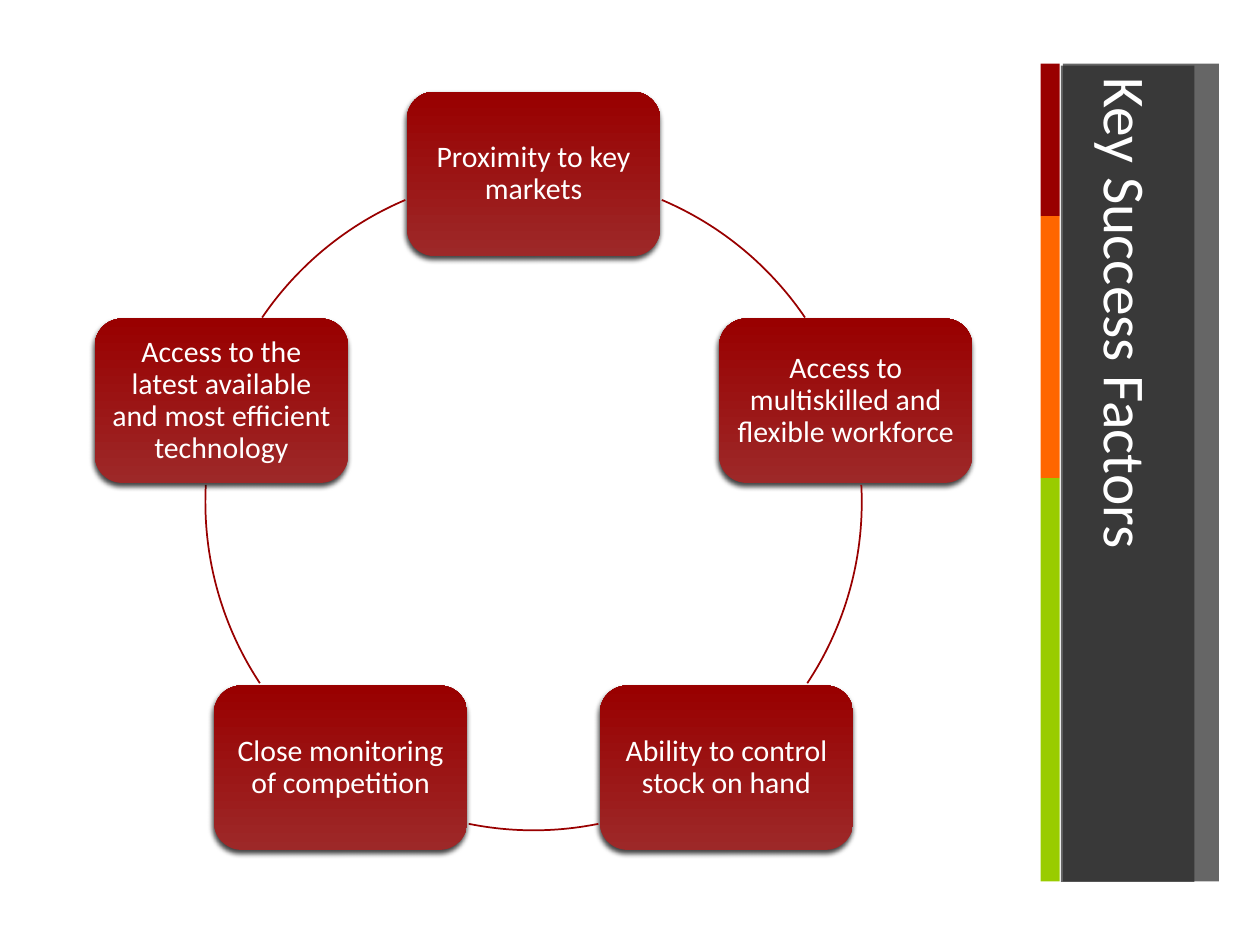
import math

from lxml import etree
from pptx import Presentation
from pptx.dml.color import RGBColor
from pptx.enum.shapes import MSO_SHAPE
from pptx.enum.text import MSO_ANCHOR, PP_ALIGN
from pptx.oxml.ns import qn
from pptx.util import Inches, Pt

RECTANGLE, CARD, ARC = MSO_SHAPE.RECTANGLE, MSO_SHAPE.ROUNDED_RECTANGLE, MSO_SHAPE.ARC
MIDDLE, LEFT, CENTER = MSO_ANCHOR.MIDDLE, PP_ALIGN.LEFT, PP_ALIGN.CENTER
COLORS = {
    "panel": "262626", "red": "990000", "light red": "9D2828",
    "orange": "FF6600", "green": "99CC00", "text": "FFFFFF", "shadow": "000000",
}

presentation = Presentation()
presentation.slide_width, presentation.slide_height = Inches(10), Inches(7.5)
slide = presentation.slides.add_slide(presentation.slide_layouts[6])
CELL = presentation.slide_width / 100  # grid of 100 columns and 75 rows


def add_box(kind, left, top, width, height, color=None, alpha=None):
    """Add a shape without outline, placed in grid cells."""
    shape = slide.shapes.add_shape(
        kind, *(round(cells * CELL) for cells in (left, top, width, height)))
    shape.shadow.inherit = False
    shape.line.fill.background()
    if color:
        shape.fill.solid()
        shape.fill.fore_color.rgb = RGBColor.from_string(COLORS[color])
    if alpha:
        rgb = shape.fill._xPr.find(".//" + qn("a:srgbClr"))
        etree.SubElement(rgb, qn("a:alpha")).set("val", str(alpha * 1000))
    return shape


def write(shape, text, size, alignment):
    frame = shape.text_frame
    frame.word_wrap = True
    frame.vertical_anchor = MIDDLE
    paragraph = frame.paragraphs[0]
    paragraph.text = text
    paragraph.alignment = alignment
    paragraph.font.name, paragraph.font.size = "Calibri", Pt(size)
    paragraph.font.color.rgb = RGBColor.from_string(COLORS["text"])
    return frame


# Side panel with its colour strip and vertical title
PANEL_TOP = 5.05
add_box(RECTANGLE, 84.35, PANEL_TOP, 12.4, 64.9, "panel", alpha=70)
band_top = PANEL_TOP
for color, height in (("red", 12.1), ("orange", 20.8), ("green", 32)):
    add_box(RECTANGLE, 82.6, band_top, 1.5, height, color)
    band_top += height
title = add_box(RECTANGLE, 84.2, 5.2, 10.6, 64.8, "panel", alpha=70)
title_frame = write(title, "Key Success Factors", 34, LEFT)
title_frame._txBody.bodyPr.set("vert", "eaVert")

# Cycle: cards evenly spaced on a circle, an arc from each to the next
CENTER_X, CENTER_Y, RADIUS = 42.35, 39.85, 26.05
CARD_WIDTH, CARD_HEIGHT = 20.1, 13.05
# Each factor with the start and end of the arc after it, in degrees clockwise from the right
factors = [
    ("Proximity to key markets", 293, 325.8),
    ("Access to multiskilled and flexible workforce", 357, 33.5),
    ("Ability to control stock on hand", 78.6, 101.4),
    ("Close monitoring of competition", 146.5, 183),
    ("Access to the latest available and most efficient technology", 214.2, 247),
]
for index, (factor, arc_start, arc_end) in enumerate(factors):
    angle = math.radians(360 / len(factors) * index - 90)
    card = add_box(
        CARD,
        CENTER_X + RADIUS * math.cos(angle) - CARD_WIDTH / 2,
        CENTER_Y + RADIUS * math.sin(angle) - CARD_HEIGHT / 2,
        CARD_WIDTH, CARD_HEIGHT)
    card.fill.gradient()
    card.fill.gradient_angle = 90
    for stop, color, position in zip(card.fill.gradient_stops, ("light red", "red"), (0, 1)):
        stop.color.rgb = RGBColor.from_string(COLORS[color])
        stop.position = position
    effects = card._element.spPr.find(qn("a:effectLst"))
    shadow = etree.SubElement(
        effects, qn("a:outerShdw"), blurRad=str(Pt(3)), dist=str(Pt(2)),
        dir=str(110 * 60000), rotWithShape="0")
    shadow_color = etree.SubElement(shadow, qn("a:srgbClr"), val=COLORS["shadow"])
    etree.SubElement(shadow_color, qn("a:alpha"), val="75000")

    frame = write(card, factor, 17, CENTER)
    frame.paragraphs[0].line_spacing = 0.9
    frame.margin_left = frame.margin_right = Inches(0.07)
    frame.margin_top = frame.margin_bottom = Inches(0.07)

    arc = add_box(ARC, CENTER_X - RADIUS, CENTER_Y - RADIUS, 2 * RADIUS, 2 * RADIUS)
    arc.fill.background()
    arc.line.color.rgb = RGBColor.from_string(COLORS["red"])
    arc.line.width = Pt(1)
    for place, degrees in enumerate((arc_start, arc_end)):
        arc.adjustments[place] = degrees * 0.6  # one degree is 60000 of 100000 units

presentation.save("out.pptx")
